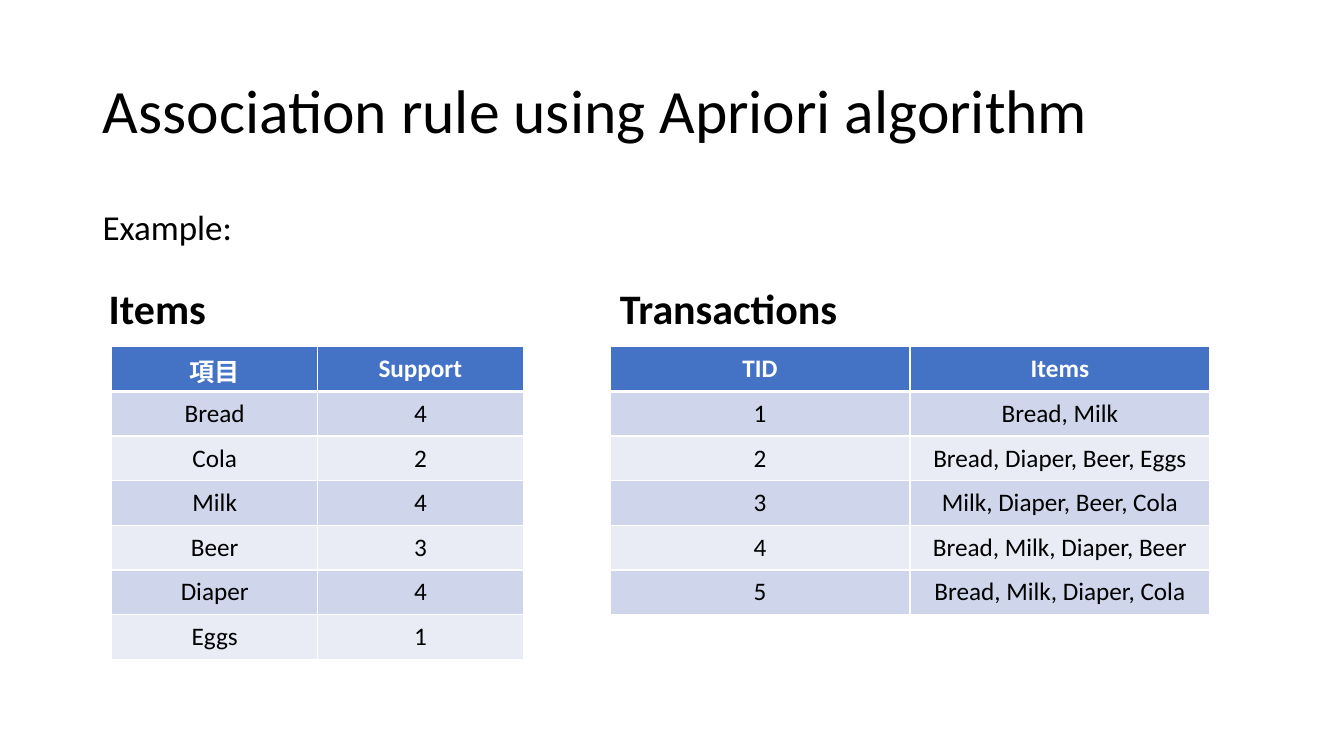
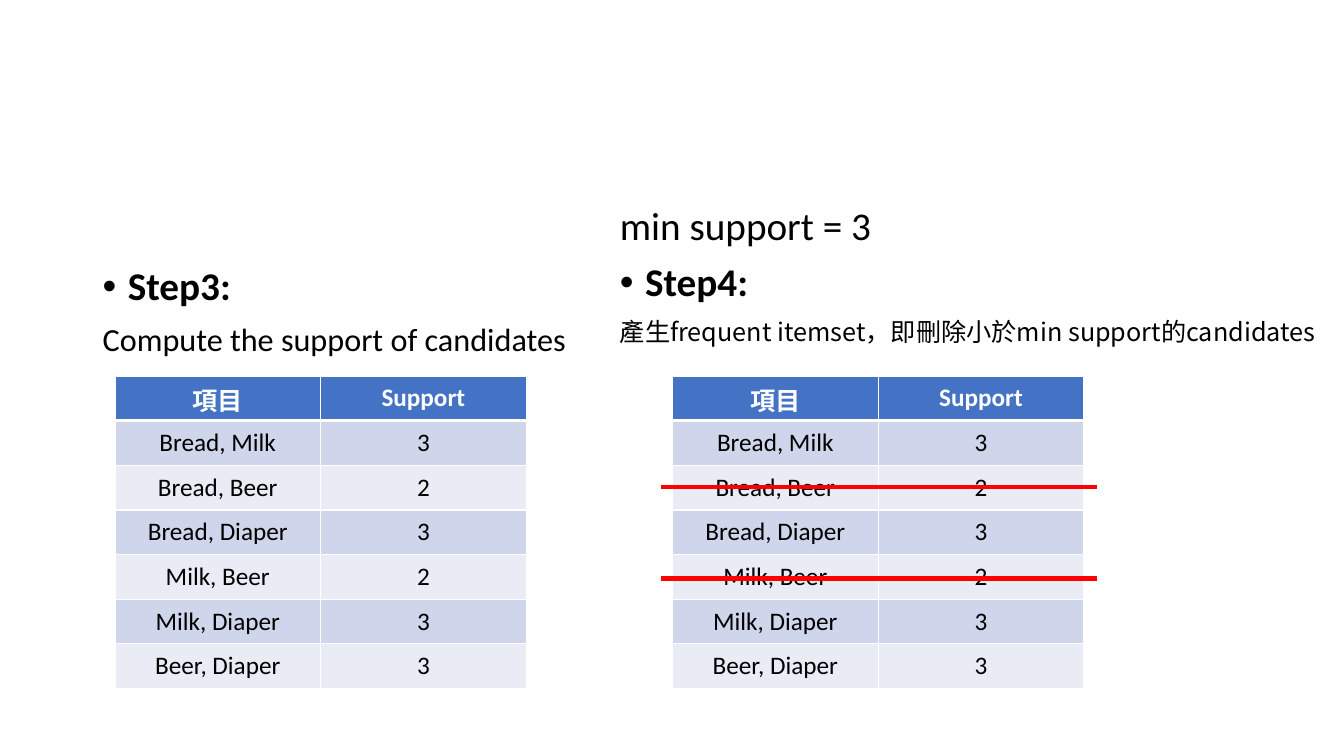
"""Build two slides on association rules with the Apriori algorithm."""
from lxml.etree import SubElement as Sub
from pptx import Presentation
from pptx.dml.color import RGBColor
from pptx.enum.shapes import MSO_CONNECTOR as Link
from pptx.enum.text import MSO_ANCHOR as Anchor, MSO_AUTO_SIZE as Auto, PP_ALIGN as Align
from pptx.oxml.ns import qn
from pptx.util import Inches, Pt

BLACK, WHITE, BLUE, RED = "000000", "FFFFFF", "4472C4", "FF0000"
BANDS = ["E9EBF5", "CFD5EA"]
FONT, CJK = "Calibri", "Noto Sans CJK SC"
ROW = 0.443


def tint(code):
    return RGBColor.from_string(code)


def write(frame, text, size=18, color=BLACK, bold=False, font=FONT,
          align=Align.LEFT, line=1.0, before=0, bullet=False):
    para = frame.add_paragraph() if frame.text else frame.paragraphs[0]
    para.alignment = align
    para.line_spacing = line
    para.space_before = Pt(before)
    if bullet:
        props = para._p.get_or_add_pPr()
        props.set("marL", str(Inches(0.25)))
        props.set("indent", str(Inches(-0.25)))
        Sub(props, qn("a:buFont"), typeface="Arial")
        Sub(props, qn("a:buChar"), char="•")
    run = para.add_run()
    run.text = text
    run.font.size = Pt(size)
    run.font.name = font
    run.font.bold = bold
    run.font.color.rgb = tint(color)


deck = Presentation()
deck.slide_width, deck.slide_height = Inches(13.33), Inches(7.5)
data = deck.slides.add_slide(deck.slide_layouts[5])
steps = deck.slides.add_slide(deck.slide_layouts[6])

title = data.shapes.title
title.left, title.top = Inches(0.92), Inches(0.4)
title.width, title.height = Inches(11.5), Inches(1.45)
title.text_frame.auto_size = Auto.NONE
title.text_frame.vertical_anchor = Anchor.MIDDLE
write(title.text_frame, "Association rule using Apriori algorithm", size=44, line=0.9)

step = dict(size=28, bold=True, bullet=True, line=0.9)
boxes = [
    (data, 0.92, 1.99, 1.76, 0.52, [("Example:", dict(size=25))]),
    (data, 0.98, 2.75, 1.8, 0.61, [("Items", dict(size=30, bold=True))]),
    (data, 6.05, 2.75, 3.07, 0.61, [("Transactions", dict(size=30, bold=True))]),
    (steps, 0.92, 2.6, 5.13, 1.1, [
        ("Step3:", step),
        ("Compute the support of candidates", dict(size=23, line=0.9, before=10)),
    ]),
    (steps, 6.05, 2, 7.11, 1.7, [
        ("min support = 3", dict(size=28, line=0.9)),
        ("Step4:", dict(step, before=10)),
        ("產生frequent itemset，即刪除小於min support的candidates",
         dict(font=CJK, line=0.9, before=10)),
    ]),
]
for slide, left, top, wide, high, lines in boxes:
    box = slide.shapes.add_textbox(Inches(left), Inches(top), Inches(wide), Inches(high))
    box.text_frame.word_wrap = True
    for text, look in lines:
        write(box.text_frame, text, **look)

items = [("項目", "Support"), ("Bread", "4"), ("Cola", "2"), ("Milk", "4"),
         ("Beer", "3"), ("Diaper", "4"), ("Eggs", "1")]
sales = [("TID", "Items"), ("1", "Bread, Milk"), ("2", "Bread, Diaper, Beer, Eggs"),
         ("3", "Milk, Diaper, Beer, Cola"), ("4", "Bread, Milk, Diaper, Beer"),
         ("5", "Bread, Milk, Diaper, Cola")]
pairs = [("項目", "Support"), ("Bread, Milk", "3"), ("Bread, Beer", "2"),
         ("Bread, Diaper", "3"), ("Milk, Beer", "2"), ("Milk, Diaper", "3"),
         ("Beer, Diaper", "3")]
tables = [
    (data, 1.11, 3.44, 4.08, items),
    (data, 6.05, 3.44, 5.95, sales),
    (steps, 1.14, 3.73, 4.08, pairs),
    (steps, 6.67, 3.73, 4.08, pairs),
]
for slide, left, top, wide, rows in tables:
    grid = slide.shapes.add_table(len(rows), 2, Inches(left), Inches(top),
                                  Inches(wide), Inches(ROW * len(rows))).table
    for r, row in enumerate(rows):
        for c, text in enumerate(row):
            cell = grid.cell(r, c)
            cell.vertical_anchor = Anchor.MIDDLE
            props = cell._tc.get_or_add_tcPr()
            for side in "LRTB":
                thick = (r, side) in [(0, "B"), (1, "T")]
                edge = Sub(props, qn(f"a:ln{side}"), w=str(Pt(3 if thick else 1)))
                Sub(Sub(edge, qn("a:solidFill")), qn("a:srgbClr"), val=WHITE)
            cell.fill.solid()
            cell.fill.fore_color.rgb = tint(BANDS[r % 2] if r else BLUE)
            write(cell.text_frame, text, bold=r == 0,
                  color=BLACK if r else WHITE, align=Align.CENTER)

for y in (4.83, 5.74):
    strike = steps.shapes.add_connector(Link.STRAIGHT, Inches(6.56), Inches(y),
                                        Inches(10.88), Inches(y))
    strike.line.color.rgb = tint(RED)
    strike.line.width = Pt(3)
    Sub(strike._element.spPr, qn("a:effectLst"))

deck.save("out.pptx")
